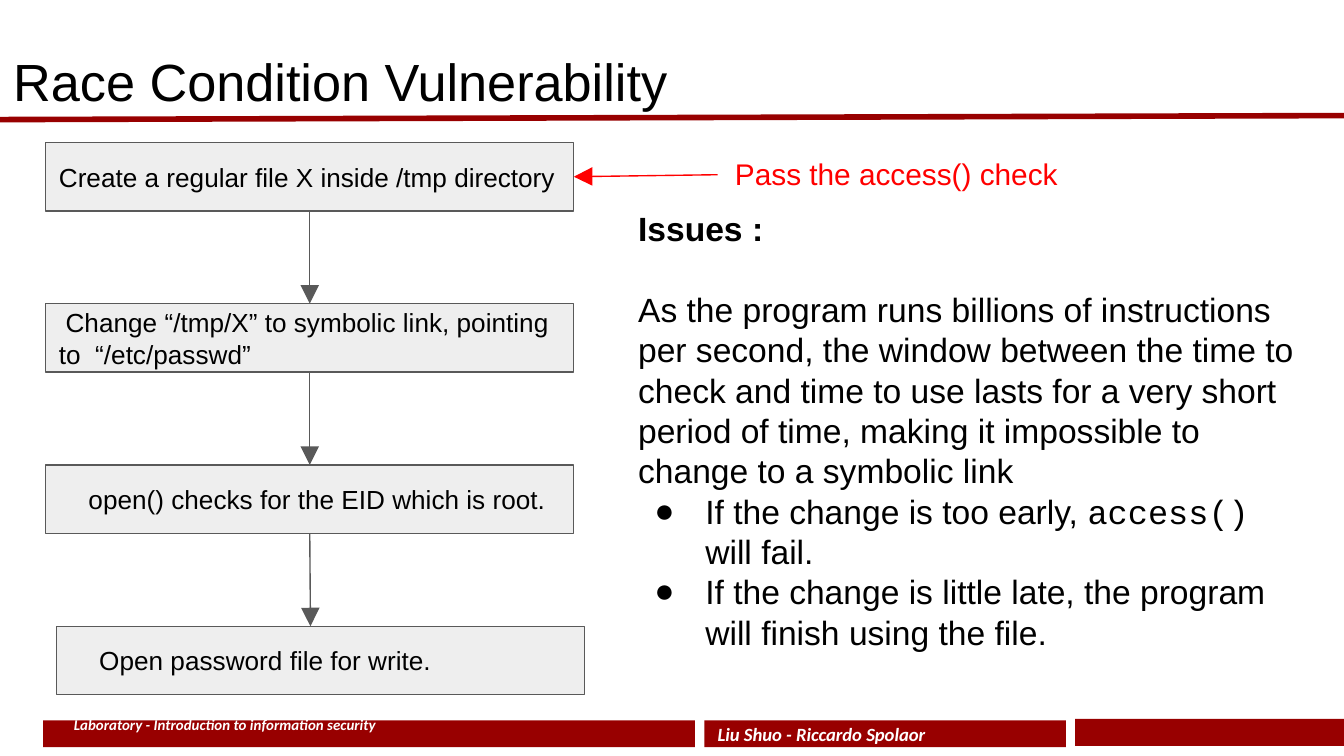
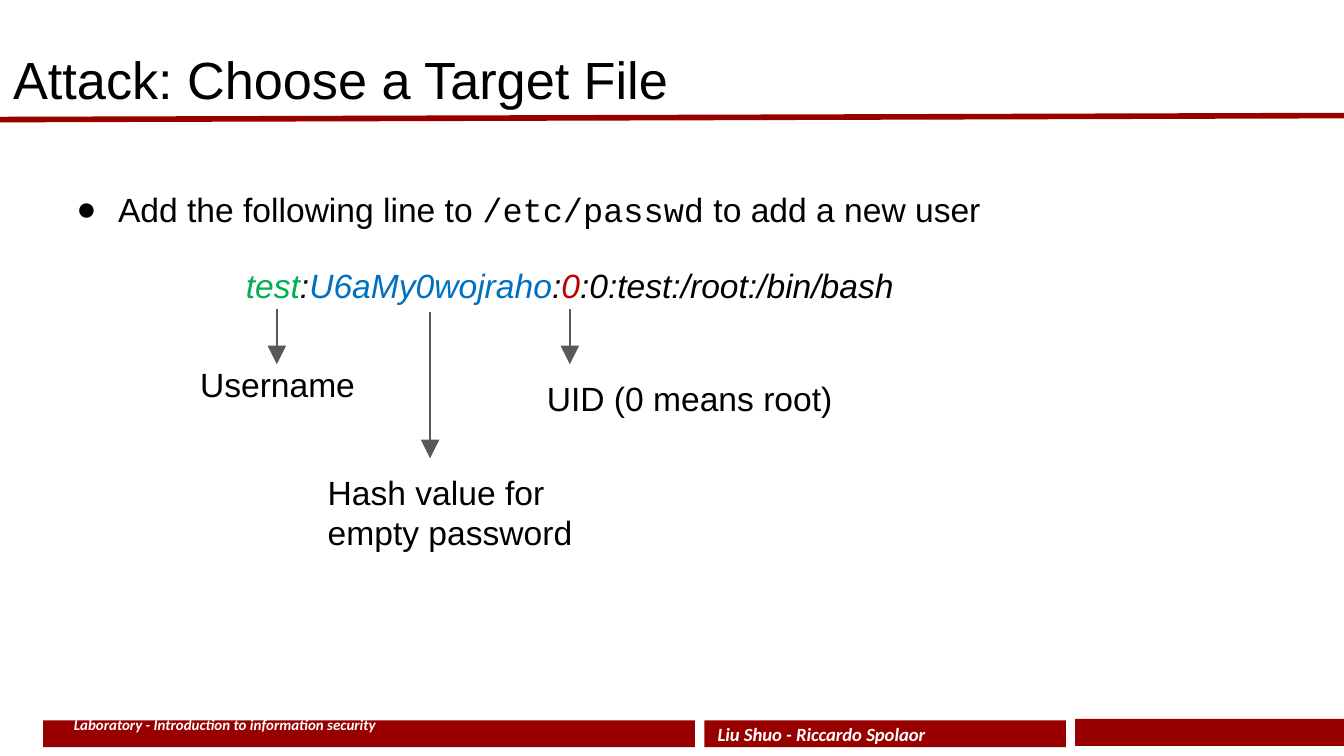
from dataclasses import dataclass
from typing import Optional

from lxml import etree
from pptx import Presentation, util as u
from pptx.dml.color import RGBColor
from pptx.enum import shapes, text
from pptx.oxml import ns

PX = 9144  # EMU per px, 100 px to the inch
BLACK = RGBColor(0x00, 0x00, 0x00)
WHITE = RGBColor(0xFF, 0xFF, 0xFF)
MAROON = RGBColor(0x98, 0x00, 0x00)
RED = RGBColor(0xFF, 0x00, 0x00)
DARK_RED = RGBColor(0xC0, 0x00, 0x00)
GREEN = RGBColor(0x00, 0xB0, 0x50)
BLUE = RGBColor(0x00, 0x70, 0xC0)
GREY = RGBColor(0x59, 0x59, 0x59)
PALE = RGBColor(0xEE, 0xEE, 0xEE)
SANS, MONO, FOOTER_FONT = "Arial", "Courier New", "Calibri"
SIDE_TOP, SIDE_BOTTOM, SIDE_RIGHT = 0, 2, 3
ANCHOR = text.MSO_ANCHOR


@dataclass(frozen=True)
class Run:
    text: str
    size: int = 18
    color: RGBColor = BLACK
    font: str = SANS
    bold: bool = False
    italic: bool = False


@dataclass(frozen=True)
class Para:
    runs: tuple[Run, ...]
    margin: int = 0
    indent: int = 0
    bullet: bool = False
    right: bool = False
    spacing: Optional[float] = None
    after: float = 0


@dataclass(frozen=True)
class Box:
    x: int
    y: int
    w: int
    h: int

    def emu(self) -> tuple[int, ...]:
        return tuple(v * PX for v in (self.x, self.y, self.w, self.h))


@dataclass(frozen=True)
class Label:
    box: Box
    paras: tuple[Para, ...]
    anchor: ANCHOR = ANCHOR.TOP


@dataclass(frozen=True)
class Step:
    x: int
    text: str
    indent: int = 0


@dataclass(frozen=True)
class Line:
    x1: int
    y1: int
    x2: int
    y2: int
    color: RGBColor = GREY
    width: float = 0.75
    arrow: bool = True


def sub(parent, tag: str, **attrs: str):
    return etree.SubElement(parent, ns.qn(tag), **attrs)


def write(sp, paras: tuple[Para, ...], anchor: ANCHOR = ANCHOR.TOP) -> None:
    tf = sp.text_frame
    tf.word_wrap = True
    tf.vertical_anchor = anchor
    tf.margin_left = tf.margin_right = tf.margin_top = tf.margin_bottom = 10 * PX
    for i, para in enumerate(paras):
        p = tf.add_paragraph() if i else tf.paragraphs[0]
        p.alignment = text.PP_ALIGN.RIGHT if para.right else text.PP_ALIGN.LEFT
        if para.spacing:
            p.line_spacing = para.spacing
        p.space_after = u.Pt(para.after)
        pPr = p._p.get_or_add_pPr()
        pPr.set("marL", str(para.margin * PX))
        pPr.set("indent", str(para.indent * PX))
        if para.bullet:
            sub(pPr, "a:buFont", typeface=SANS)
            sub(pPr, "a:buChar", char="●")
        for run in para.runs:
            r = p.add_run()
            r.text = run.text
            f = r.font
            f.name, f.size, f.bold, f.italic = run.font, u.Pt(run.size), run.bold, run.italic
            f.color.rgb = run.color


def add_label(s, label: Label):
    sp = s.shapes.add_textbox(*label.box.emu())
    write(sp, label.paras, label.anchor)
    return sp


def add_rect(s, box: Box, fill: RGBColor, outline: Optional[RGBColor] = None):
    sp = s.shapes.add_shape(shapes.MSO_SHAPE.RECTANGLE, *box.emu())
    sp.shadow.inherit = False
    sp.fill.solid()
    sp.fill.fore_color.rgb = fill
    if outline is None:
        sp.line.fill.background()
    else:
        sp.line.color.rgb = outline
        sp.line.width = u.Pt(0.75)
    return sp


def add_line(s, line: Line):
    ends = (v * PX for v in (line.x1, line.y1, line.x2, line.y2))
    c = s.shapes.add_connector(shapes.MSO_CONNECTOR.STRAIGHT, *ends)
    c.line.color.rgb = line.color
    c.line.width = u.Pt(line.width)
    if line.arrow:
        sub(c.line._get_or_add_ln(), "a:tailEnd", type="triangle", w="lg", len="lg")
    sub(c._element.spPr, "a:effectLst")
    return c


def plain(words: str, size: int = 18, color: RGBColor = BLACK, indent: int = 0) -> tuple[Para, ...]:
    """One paragraph in one style, its first line indented."""
    return (Para((Run(words, size, color),), indent=indent),)


def footer(words: str, size: int, right: bool = False) -> tuple[Para, ...]:
    return (Para((Run(words, size, WHITE, FOOTER_FONT, True, True),), right=right),)


def new_slide(prs, title: str, title_y: int):
    """Slide with the footer bands, the rule and the title."""
    s = prs.slides.add_slide(prs.slide_layouts[6])
    add_rect(s, Box(800, 535, 200, 20), MAROON)
    add_rect(s, Box(32, 536, 485, 20), MAROON)
    authors = add_rect(s, Box(524, 536, 269, 20), MAROON)
    write(authors, footer("Liu Shuo - Riccardo Spolaor", 10), ANCHOR.MIDDLE)
    course = footer("Laboratory - Introduction to information security", 8, right=True)
    sp = add_label(s, Label(Box(43, 536, 247, 20), course, ANCHOR.BOTTOM))
    sp.text_frame.margin_top = 0
    add_line(s, Line(1000, 86, 0, 89, MAROON, 3, arrow=False))
    add_label(s, Label(Box(0, title_y, 932, 63), plain(title, 28)))
    return s


STEP_TOP, STEP_PITCH, STEP_W, STEP_H = 106, 120, 393, 51
ARROW_X = 231
STEPS = (
    Step(34, "Create a regular file X inside /tmp directory"),
    Step(34, "Change “/tmp/X” to symbolic link, pointing to  “/etc/passwd”", 5),
    Step(34, "open() checks for the EID which is root.", 22),
    Step(42, "Open password file for write.", 22),
)
ISSUES = (
    Para((Run("Issues :", bold=True),), after=21.6),
    Para((Run("As the program runs billions of instructions per second, the window "
              "between the time to check and time to use lasts for a very short period "
              "of time, making it impossible to change to a symbolic link"),)),
    Para((Run("If the change is too early, "), Run("access() ", font=MONO), Run("will fail.")),
         50, -38, bullet=True),
    Para((Run("If the change is little late, the program will finish using the file."),),
         50, -38, bullet=True),
)


def race_slide(prs) -> None:
    s = new_slide(prs, "Race Condition Vulnerability", 27)
    boxes = []
    for i, step in enumerate(STEPS):
        sp = add_rect(s, Box(step.x, STEP_TOP + i * STEP_PITCH, STEP_W, STEP_H), PALE, GREY)
        write(sp, plain(step.text, 14, indent=step.indent), ANCHOR.MIDDLE)
        boxes.append(sp)
    for i, (upper, lower) in enumerate(zip(boxes, boxes[1:])):
        y = STEP_TOP + i * STEP_PITCH
        c = add_line(s, Line(ARROW_X, y + STEP_H, ARROW_X, y + STEP_PITCH))
        c.begin_connect(upper, SIDE_BOTTOM)
        if lower.left == upper.left:
            c.end_connect(lower, SIDE_TOP)
    check = add_line(s, Line(534, 130, 427, 132, RED))
    check.end_connect(boxes[0], SIDE_RIGHT)
    add_label(s, Label(Box(537, 106, 261, 51), plain("Pass the access() check", 16, RED)))
    add_label(s, Label(Box(465, 145, 510, 366), ISSUES))


PASSWD_ENTRY = (
    ("test", GREEN), (":", BLACK), ("U6aMy0wojraho", BLUE), (":", BLACK),
    ("0", DARK_RED), (":0:test:/root:/bin/bash", BLACK),
)
ENTRY_PARAS = (
    Para((Run("Add the following line to "), Run("/etc/passwd", font=MONO),
          Run(" to add a new user")), 44, -31, bullet=True, spacing=1.15, after=16),
    Para(tuple(Run(field, color=color, italic=True) for field, color in PASSWD_ENTRY),
         indent=139, spacing=1.15, after=16),
)
FIELD_ARROWS = (Line(206, 230, 206, 271), Line(320, 232, 320, 341), Line(424, 230, 424, 271))
FIELD_LABELS = (
    Label(Box(134, 261, 145, 48), plain("Username", indent=5)),
    Label(Box(234, 341, 230, 75), plain("Hash value for empty password")),
    Label(Box(348, 271, 295, 35), plain("UID (0 means root)", indent=49)),
)


def target_slide(prs) -> None:
    s = new_slide(prs, "Attack: Choose a Target File", 25)
    add_label(s, Label(Box(34, 126, 932, 374), ENTRY_PARAS))
    for arrow in FIELD_ARROWS:
        add_line(s, arrow)
    for label in FIELD_LABELS:
        add_label(s, label)


def main() -> None:
    prs = Presentation()
    prs.slide_width = 1000 * PX
    prs.slide_height = prs.slide_width * 9 // 16
    race_slide(prs)
    target_slide(prs)
    prs.save("out.pptx")


if __name__ == "__main__":
    main()
